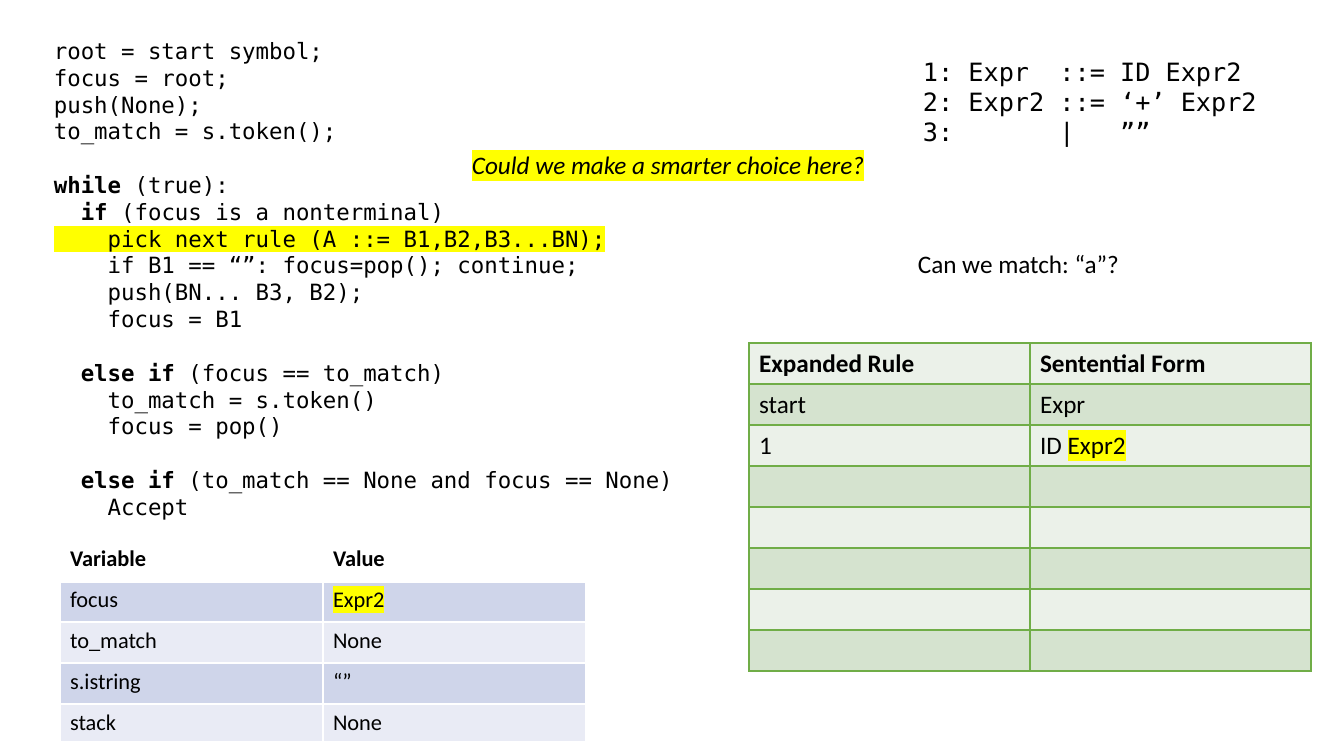
import pptx
import pptx.util
import pptx.dml.color
import pptx.enum.text
import lxml.etree

SCALE = 914400 / 100.8
MONO = "DejaVu Sans Mono"
SANS = "Calibri"
BLACK = "000000"
WHITE = "FFFFFF"
YELLOW = "FFFF00"
GREEN = "70AD47"

CODE = """root = start symbol;
focus = root;
push(None);
to_match = s.token();

*while* (true):
  *if* (focus is a nonterminal)
~    pick next rule (A ::= B1,B2,B3...BN);~
    if B1 == “”: focus=pop(); continue;
    push(BN... B3, B2);
    focus = B1

*  else if *(focus == to_match)
    to_match = s.token()
    focus = pop()

*  else if *(to_match == None and focus == None)
    Accept"""

GRAMMAR = """1: Expr  ::= ID Expr2
2: Expr2 ::= ‘+’ Expr2
3:       |   ””"""

RULES = [
    ("Expanded Rule", "Sentential Form"),
    ("start", "Expr"),
    ("1", "ID ~Expr2~"),
] + [("", "")] * 5

STATE = [
    ("Variable", "Value"),
    ("focus", "~Expr2~"),
    ("to_match", "None"),
    ("s.istring", "“”"),
    ("stack", "None"),
]


def px(count):
    return pptx.util.Emu(round(count * SCALE))


def color(code):
    return pptx.dml.color.RGBColor.from_string(code)


def add(parent, tag, **attrs):
    node = lxml.etree.SubElement(parent, pptx.oxml.ns.qn(tag))
    for key, value in attrs.items():
        node.set(key, str(value))
    return node


class Board:
    def __init__(self, deck):
        self.shapes = deck.slides.add_slide(deck.slide_layouts[6]).shapes

    def fill_line(self, para, line, size, face, bold=False, slant=False):
        font = para.font
        font.size = pptx.util.Pt(size)
        font.name = face
        font.bold = bold
        font.italic = slant
        font.color.rgb = color(BLACK)
        for i, chunk in enumerate(line.split("*")):
            for j, part in enumerate(chunk.split("~")):
                if part:
                    run = para.add_run()
                    run.text = part
                    if i % 2:
                        run.font.bold = True
                    if j % 2:
                        mark = add(run.font._element, "a:highlight")
                        add(mark, "a:srgbClr", val=YELLOW)

    def text(self, box, words, size, face, wrap=False, slant=False):
        frame = self.shapes.add_textbox(*map(px, box)).text_frame
        frame.word_wrap = wrap
        frame.auto_size = pptx.enum.text.MSO_AUTO_SIZE.NONE
        for k, block in enumerate(words.split("\n\n")):
            for n, line in enumerate(block.split("\n")):
                para = frame.add_paragraph() if k + n else frame.paragraphs[0]
                if k and not n:
                    para.space_before = pptx.util.Pt(19)
                self.fill_line(para, line, size, face, slant=slant)

    def edge(self, cell, code, base):
        props = cell._tc.get_or_add_tcPr()
        for side in "LRTB":
            width = base if side == "B" else 1
            line = add(props, "a:ln" + side, w=pptx.util.Pt(width))
            add(add(line, "a:solidFill"), "a:srgbClr", val=code)

    def table(self, left, top, wide, highs, rows, size, fills, line, base=1):
        grid = self.shapes.add_table(
            len(rows), 2, px(left), px(top), px(2 * wide), px(sum(highs))
        ).table
        grid.first_row = False
        grid.horz_banding = False
        for col in grid.columns:
            col.width = px(wide)
        for r, row in enumerate(rows):
            grid.rows[r].height = px(highs[r])
            for c, words in enumerate(row):
                cell = grid.cell(r, c)
                self.edge(cell, line, 1 if r else base)
                cell.fill.solid()
                cell.fill.fore_color.rgb = color(fills[r])
                para = cell.text_frame.paragraphs[0]
                self.fill_line(para, words, size, SANS, bold=r == 0)


def main():
    deck = pptx.Presentation()
    deck.slide_width = px(1344)
    deck.slide_height = px(756)
    board = Board(deck)
    board.text((44, 32, 660, 581), CODE, 16, MONO)
    board.table(749, 343, 281, [41] * 8, RULES, 18,
                ["EBF1E9", "D5E3CF"] * 4, GREEN)
    board.table(60, 540, 263, [41] * 4 + [28], STATE, 16,
                [WHITE] + ["CFD5EA", "E9EBF5"] * 2, WHITE, base=3)
    board.text((913, 51, 431, 102), GRAMMAR, 18, MONO, wrap=True)
    board.text((908, 243, 224, 40), "Can we match: “a”?", 18, SANS)
    board.text((462, 144, 421, 40), "~Could we make a smarter choice here?~",
               18, SANS, slant=True)
    deck.save("out.pptx")


if __name__ == "__main__":
    main()
